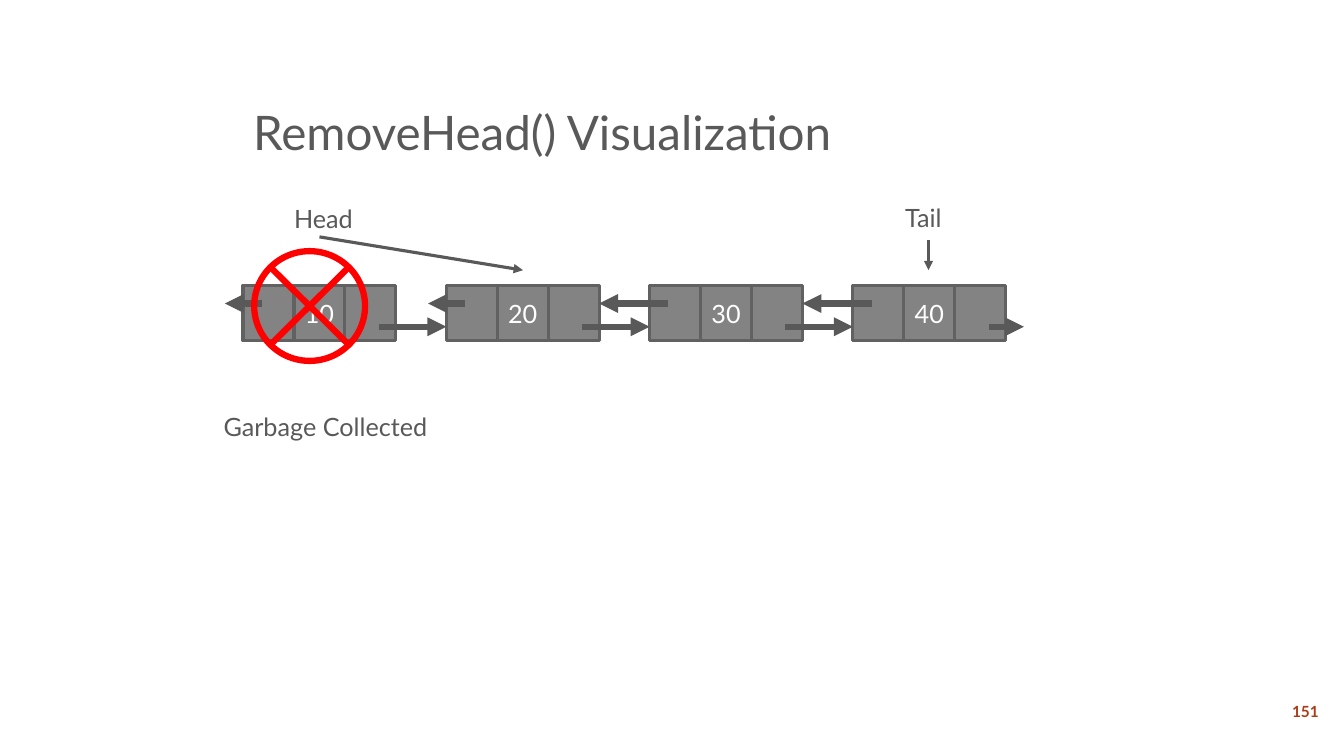
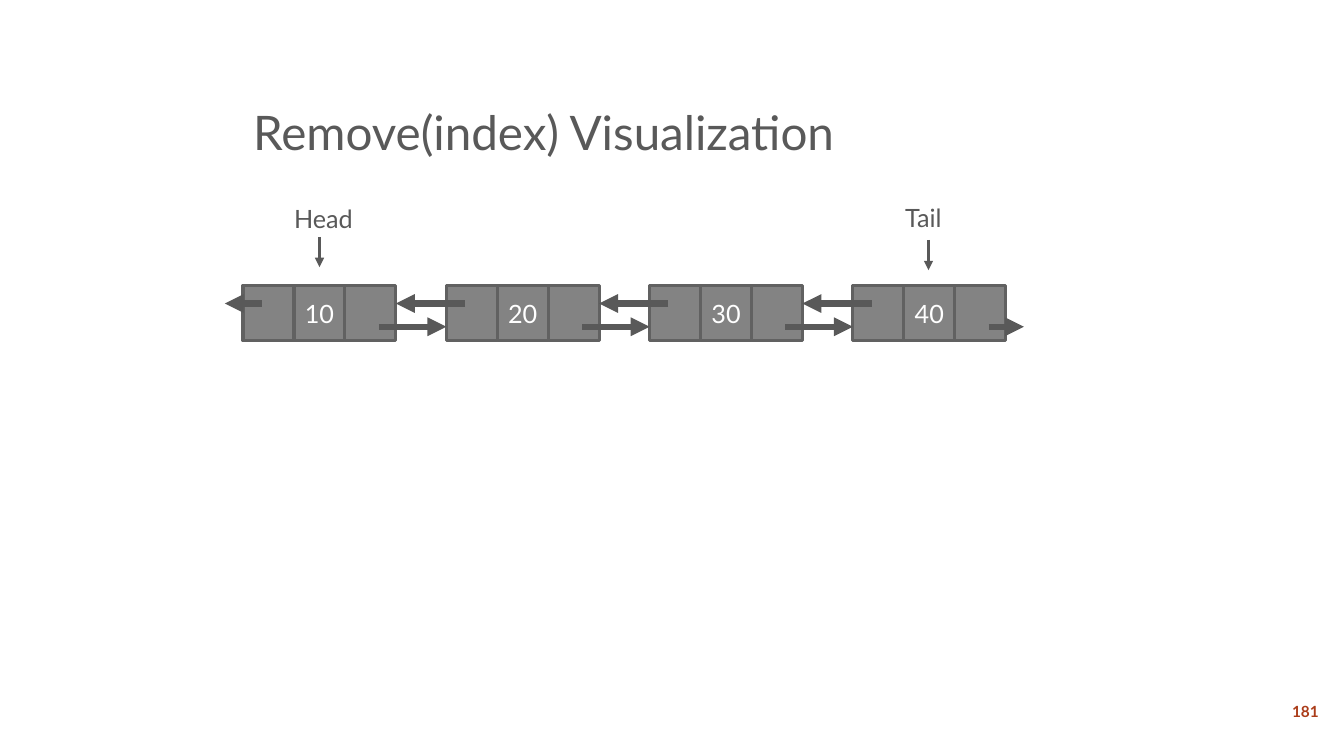
import lxml.etree
import pptx
import pptx.dml.color
import pptx.enum.shapes
import pptx.enum.text
import pptx.oxml.ns
import pptx.util

Pt = pptx.util.Pt
SHAPES = pptx.enum.shapes.MSO_SHAPE
ANCHOR = pptx.enum.text.MSO_ANCHOR
ALIGN = pptx.enum.text.PP_ALIGN
AUTO_SIZE = pptx.enum.text.MSO_AUTO_SIZE

TITLE_ONLY = 5
VALUES = ["10", "20", "30", "40"]
LIST_LEFT = 173.6
NODE_TOP = 203.8
NODE_PITCH = 145.2
CELL_WIDTH = 36.4
CELL_HEIGHT = 39.6
PREVIOUS_Y = 216.8
NEXT_Y = 233.4
PREVIOUS_START = 13.4
NEXT_START = 97
NODE_GAP = NODE_PITCH - 3 * CELL_WIDTH
OPEN_END = 13


def color(value):
    return pptx.dml.color.RGBColor.from_string(value)


def write_text(frame, text, size=18, fill="595959", bold=False, align=ALIGN.LEFT,
               anchor=ANCHOR.TOP, wrap=True, auto_size=AUTO_SIZE.NONE, line_spacing=1.0):
    frame.word_wrap = wrap
    frame.auto_size = auto_size
    frame.vertical_anchor = anchor
    para = frame.paragraphs[0]
    para.alignment = align
    para.line_spacing = line_spacing
    span = para.add_run()
    span.text = text
    span.font.name = "Lato"
    span.font.size = Pt(size)
    span.font.bold = bold
    span.font.color.rgb = color(fill)


class ListDeck:
    gray = "595959"
    cell_fill = "838383"
    cell_line = "616161"
    accent = "AB3C19"
    warning = "FF0000"

    def __init__(self):
        self.deck = pptx.Presentation()
        self.deck.slide_width = Pt(960)
        self.deck.slide_height = Pt(540)
        self.page = None

    def add_page(self, title, number):
        self.page = self.deck.slides.add_slide(self.deck.slide_layouts[TITLE_ONLY])
        box = self.page.shapes.title
        box.left, box.top, box.width, box.height = Pt(173.6), Pt(23.8), Pt(738), Pt(94.4)
        write_text(box.text_frame, title, size=34, anchor=ANCHOR.BOTTOM, line_spacing=0.9)
        self.label(number, 911.6, 494.6, 41.8, 27.4, size=11, fill=self.accent, bold=True,
                   align=ALIGN.CENTER, anchor=ANCHOR.MIDDLE)

    def label(self, text, left, top, width, height=29, **text_format):
        box = self.page.shapes.add_textbox(Pt(left), Pt(top), Pt(width), Pt(height))
        write_text(box.text_frame, text, **text_format)

    def shape(self, kind, left, top, width, height, line, weight, fill=None):
        shape = self.page.shapes.add_shape(kind, Pt(left), Pt(top), Pt(width), Pt(height))
        shape.shadow.inherit = False
        shape.line.color.rgb = color(line)
        shape.line.width = Pt(weight)
        if fill:
            shape.fill.solid()
            shape.fill.fore_color.rgb = color(fill)
        else:
            shape.fill.background()
        return shape

    def arrow(self, start_x, start_y, end_x, end_y, weight):
        arrow = self.page.shapes.add_connector(
            pptx.enum.shapes.MSO_CONNECTOR.STRAIGHT,
            Pt(start_x), Pt(start_y), Pt(end_x), Pt(end_y))
        arrow.line.color.rgb = color(self.gray)
        arrow.line.width = Pt(weight)
        properties = arrow.element.spPr
        outline = properties.find(pptx.oxml.ns.qn("a:ln"))
        lxml.etree.SubElement(outline, pptx.oxml.ns.qn("a:tailEnd"), type="triangle")
        lxml.etree.SubElement(properties, pptx.oxml.ns.qn("a:effectLst"))

    def node(self, left, value):
        for column in (0, 2, 1):
            cell = self.shape(SHAPES.RECTANGLE, left + column * CELL_WIDTH, NODE_TOP,
                              CELL_WIDTH, CELL_HEIGHT, self.cell_line, 2.25, self.cell_fill)
            if column == 1:
                write_text(cell.text_frame, value, fill="FFFFFF",
                           align=ALIGN.CENTER, anchor=ANCHOR.MIDDLE)

    def linked_list(self, detached=()):
        lefts = [LIST_LEFT + index * NODE_PITCH for index in range(len(VALUES))]
        for left, value in zip(lefts, VALUES):
            self.node(left, value)
        for index, left in enumerate(lefts):
            back = OPEN_END if index == 0 or index in detached else NODE_GAP
            ahead = OPEN_END if index == len(lefts) - 1 else NODE_GAP
            self.arrow(left + PREVIOUS_START, PREVIOUS_Y, left - back, PREVIOUS_Y, 4.5)
            self.arrow(left + NEXT_START, NEXT_Y,
                       left + 3 * CELL_WIDTH + ahead, NEXT_Y, 4.5)

    def pointers(self, head_x, head_y):
        self.label("Head", 203, 141.8, 58.4, wrap=False, auto_size=AUTO_SIZE.SHAPE_TO_FIT_TEXT)
        self.arrow(228.2, 169.2, head_x, head_y, 2.25)
        self.label("Tail", 639.4, 141.1, 42.5, wrap=False, auto_size=AUTO_SIZE.SHAPE_TO_FIT_TEXT)
        self.arrow(663.2, 171.4, 663.2, 193, 2.25)

    def removal_mark(self):
        self.shape(SHAPES.FLOWCHART_SUMMING_JUNCTION, 181.6, 179.4, 79.2, 78.4,
                   self.warning, 4.5)
        self.label("Garbage Collected", 152.6, 290.2, 216.8,
                   auto_size=AUTO_SIZE.SHAPE_TO_FIT_TEXT)


def main():
    slides = ListDeck()
    slides.add_page("RemoveHead() Visualization", "151")
    slides.linked_list(detached=(1,))
    slides.pointers(373.6, 193)
    slides.removal_mark()
    slides.add_page("Remove(index) Visualization", "181")
    slides.linked_list()
    slides.pointers(228.2, 190.8)
    slides.deck.save("out.pptx")


if __name__ == "__main__":
    main()
